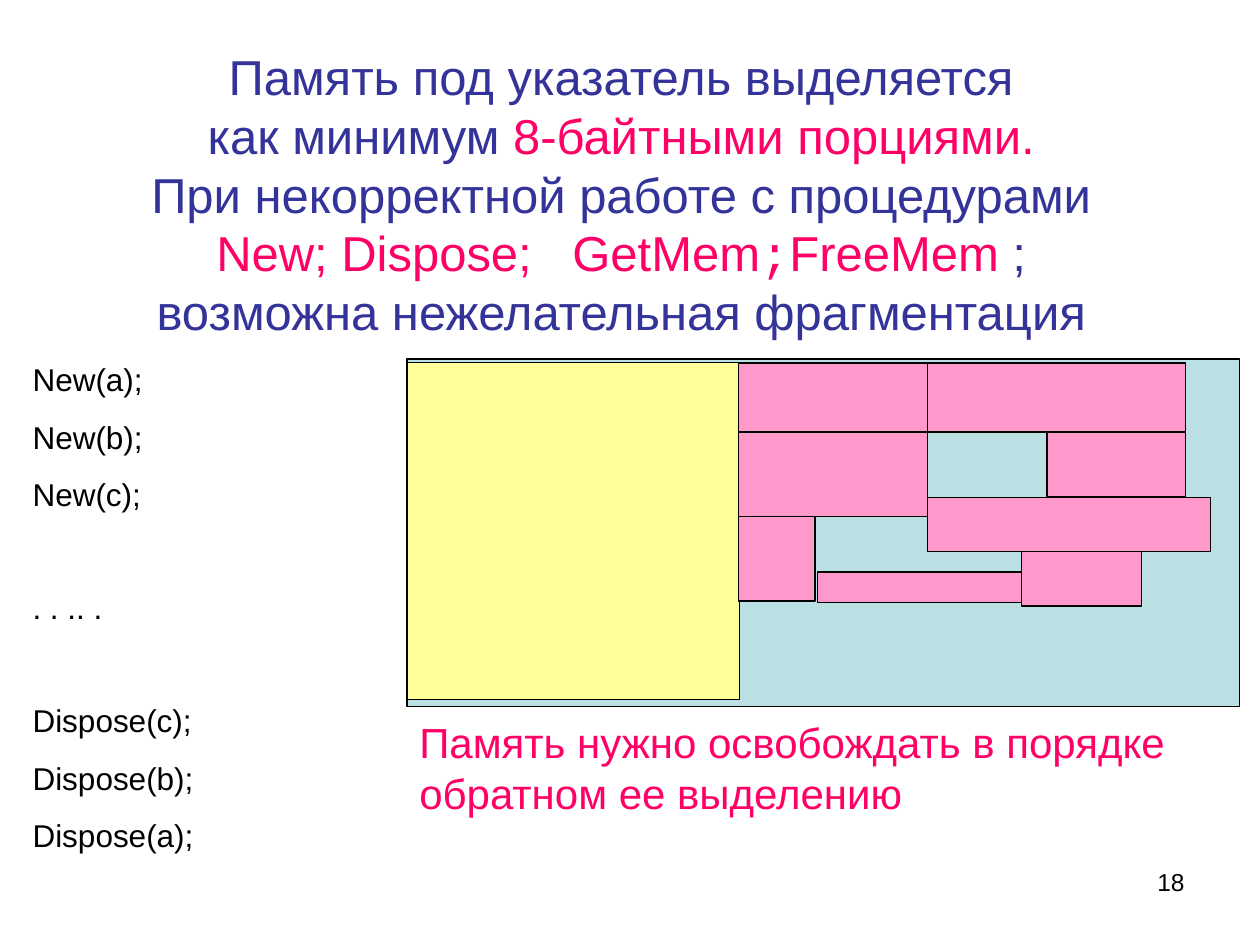
"""Build the slide on pointer memory and heap fragmentation."""
from dataclasses import dataclass

from pptx import Presentation
from pptx.dml.color import RGBColor
from pptx.enum.shapes import MSO_SHAPE
from pptx.enum.text import MSO_ANCHOR, PP_ALIGN
from pptx.util import Inches, Pt


@dataclass(frozen=True)
class Theme:
    font: str = "Arial"
    code_font: str = "Courier New"
    title: str = "333399"
    accent: str = "FF0066"
    text: str = "000000"
    heap: str = "BBE0E3"
    occupied: str = "FFFF99"
    block: str = "FF99CC"
    title_size: int = 28
    note_size: int = 24
    code_size: int = 18
    number_size: int = 14


theme = Theme()
COLUMNS, ROWS = 100, 75

presentation = Presentation()
presentation.slide_width, presentation.slide_height = Inches(10), Inches(7.5)
slide = presentation.slides.add_slide(presentation.slide_layouts[6])
column = presentation.slide_width / COLUMNS
row = presentation.slide_height / ROWS


def add_text_frame(left, top, width, height):
    box = slide.shapes.add_textbox(
        round(left * column), round(top * row), round(width * column), round(height * row)
    )
    box.text_frame.word_wrap = True
    return box.text_frame


def style(font, size, color, name=theme.font):
    font.name = name
    font.size = Pt(size)
    font.color.rgb = RGBColor.from_string(color)


title_lines = [
    [("Память под указатель выделяется", theme.title, theme.font)],
    [("как минимум ", theme.title, theme.font),
     ("8-байтными порциями.", theme.accent, theme.font)],
    [("При некорректной работе с процедурами", theme.title, theme.font)],
    [("New; Dispose;", theme.accent, theme.font),
     (" ", theme.accent, theme.font),
     ("GetMem", theme.accent, theme.font),
     (";", theme.accent, theme.code_font),
     ("FreeMem", theme.accent, theme.font),
     (" ;", theme.title, theme.font)],
    [("возможна нежелательная фрагментация", theme.title, theme.font)],
]
title_frame = add_text_frame(4.3, 3.6, 90, 23.5)
title_frame.vertical_anchor = MSO_ANCHOR.MIDDLE
paragraph = title_frame.paragraphs[0]
paragraph.alignment = PP_ALIGN.CENTER
for index, line in enumerate(title_lines):
    if index:
        paragraph.add_line_break()
    for text, color, name in line:
        run = paragraph.add_run()
        run.text = text
        style(run.font, theme.title_size, color, name)
        if text == " ":
            run.font._element.set("spc", "1550")

memory_areas = [
    (32.3, 28.5, 66.1, 27.6, theme.heap),
    (32.3, 28.8, 26.4, 26.7, theme.occupied),
    (58.6, 28.8, 15, 5.5, theme.block),
    (58.6, 34.3, 15, 6.7, theme.block),
    (73.6, 28.8, 20.5, 5.5, theme.block),
    (73.6, 39.5, 22.5, 4.3, theme.block),
    (83.1, 34.3, 11, 5.1, theme.block),
    (58.6, 41, 6.1, 6.7, theme.block),
    (64.9, 45.4, 16.4, 2.4, theme.block),
    (81.1, 43.8, 9.5, 4.3, theme.block),
]
for left, top, width, height, color in memory_areas:
    area = slide.shapes.add_shape(
        MSO_SHAPE.RECTANGLE,
        round(left * column), round(top * row), round(width * column), round(height * row),
    )
    area.shadow.inherit = False
    area.fill.solid()
    area.fill.fore_color.rgb = RGBColor.from_string(color)
    area.line.color.rgb = RGBColor.from_string(theme.text)
    area.line.width = Pt(0.75)

labels = [
    ((32.3, 56.4, 67.7, 9), "Память нужно освобождать в порядке обратном ее выделению",
     theme.note_size, theme.accent, PP_ALIGN.LEFT),
    ((71.7, 68.3, 23.3, 5.2), "18", theme.number_size, theme.text, PP_ALIGN.RIGHT),
]
for place, text, size, color, alignment in labels:
    paragraph = add_text_frame(*place).paragraphs[0]
    paragraph.text = text
    paragraph.alignment = alignment
    style(paragraph.runs[0].font, size, color)

line_gap, group_gap = 11.2, 43.1
code_groups = [
    ["New(a);", "New(b);", "New(c);"],
    [". . .. ."],
    ["Dispose(c);", "Dispose(b);", "Dispose(a);"],
]
code_frame = add_text_frame(1.6, 28.1, 29.1, 40.5)
code_frame.text = "\n".join(line for group in code_groups for line in group)
gaps = [group_gap if index == 0 else line_gap for group in code_groups for index in range(len(group))]
gaps[0] = 0
for paragraph, gap in zip(code_frame.paragraphs, gaps):
    paragraph.space_before = Pt(gap)
    style(paragraph.runs[0].font, theme.code_size, theme.text)

presentation.save("out.pptx")
